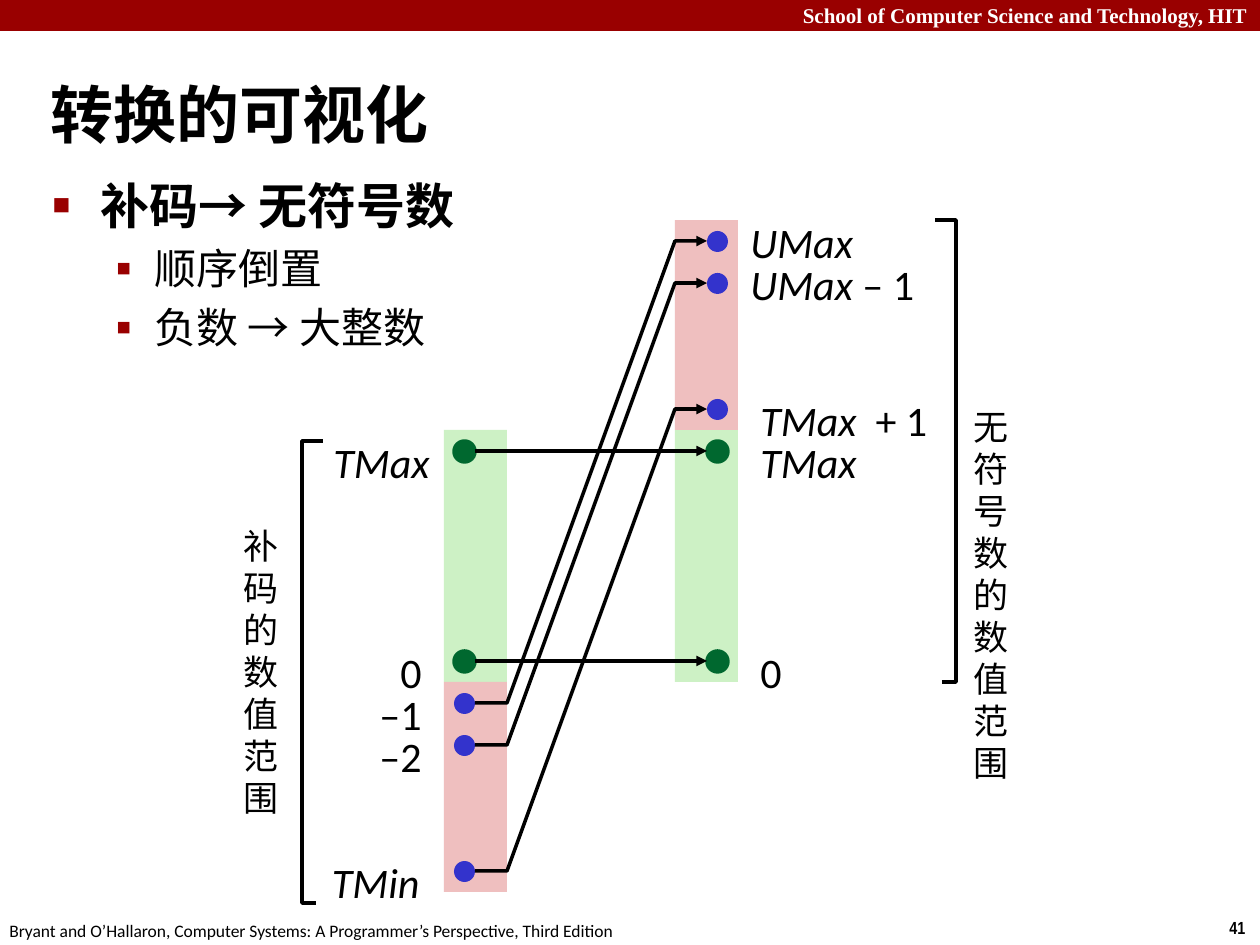
import pptx
import pptx.util
import pptx.dml.color
import pptx.enum.shapes
import pptx.enum.text
import pptx.oxml
import pptx.oxml.ns

RGBColor = pptx.dml.color.RGBColor
SHAPE = pptx.enum.shapes.MSO_SHAPE
ALIGN = pptx.enum.text.PP_ALIGN
CRIMSON = RGBColor(0x99, 0x00, 0x00)
BLACK = RGBColor(0x00, 0x00, 0x00)
WHITE = RGBColor(0xFF, 0xFF, 0xFF)
PALE_GREEN = RGBColor(0xCD, 0xF1, 0xC5)
PALE_RED = RGBColor(0xEF, 0xBF, 0xBF)
GREEN = RGBColor(0x00, 0x68, 0x2F)
BLUE = RGBColor(0x33, 0x33, 0xCC)
PX = 914400 / 126  # EMU per px

deck = pptx.Presentation()
deck.slide_width = round(1260 * PX)
deck.slide_height = round(945 * PX)
slide = deck.slides.add_slide(deck.slide_layouts[1])
shapes = slide.shapes


def add_filled(kind, box, color):
    shape = shapes.add_shape(kind, *[round(n * PX) for n in box])
    shape.shadow.inherit = False
    shape.fill.solid()
    shape.fill.fore_color.rgb = color
    shape.line.fill.background()
    return shape


def add_text(box, runs, size=24, align=ALIGN.LEFT, wrap=True,
             font="Calibri", color=BLACK, bold=False):
    """Add a one-paragraph text box; runs are (text, italic) pairs."""
    frame = shapes.add_textbox(*[round(n * PX) for n in box]).text_frame
    frame.word_wrap = wrap
    paragraph = frame.paragraphs[0]
    paragraph.alignment = align
    for text, italic in runs:
        run = paragraph.add_run()
        run.text = text
        run.font.name = font
        run.font.size = pptx.util.Pt(size)
        run.font.color.rgb = color
        run.font.bold = bold
        run.font.italic = italic


# Header and footer
add_filled(SHAPE.RECTANGLE, (0, 0, 1260, 31), CRIMSON)
add_text((0, -4, 1260, 38), [("School of Computer Science and Technology, HIT", False)],
         12, ALIGN.RIGHT, font="Times New Roman", color=WHITE, bold=True)
add_text((1217, 911, 43, 34), [("41", False)], 10, wrap=False,
         font="Arial Narrow", bold=True)
add_text((-3, 914, 640, 34),
         [("Bryant and O’Hallaron, Computer Systems: "
           "A Programmer’s Perspective, Third Edition", False)], 10, wrap=False)

# Title and list
title = shapes.title
body = slide.placeholders[1]
for holder, box in ((title, (38, 73, 1095, 80)), (body, (40, 169, 573, 237))):
    holder.left, holder.top, holder.width, holder.height = [round(n * PX) for n in box]
    holder.text_frame.auto_size = pptx.enum.text.MSO_AUTO_SIZE.NONE
title.text_frame.vertical_anchor = pptx.enum.text.MSO_ANCHOR.MIDDLE
title.text_frame.paragraphs[0].alignment = ALIGN.LEFT

entries = [
    # text, size, bold, level, (left margin, hanging indent, bullet, bullet size %)
    ("转换的可视化", 36, True, 0, None),
    ("补码→ 无符号数", 28, True, 0, (48, 48, "■", 60)),
    ("顺序倒置", 24, False, 1, (102, 39, "▪", 110)),
    ("负数 → 大整数", 24, False, 1, (102, 39, "▪", 110)),
]
for index, (text, size, bold, level, bullet) in enumerate(entries):
    if index == 0:
        paragraph = title.text_frame.paragraphs[0]
    elif index == 1:
        paragraph = body.text_frame.paragraphs[0]
    else:
        paragraph = body.text_frame.add_paragraph()
    paragraph.level = level
    run = paragraph.add_run()
    run.text = text
    run.font.name = "Calibri"
    run.font.size = pptx.util.Pt(size)
    run.font.bold = bold
    run.font.color.rgb = BLACK
    if bullet:
        margin, hanging, mark, percent = bullet
        properties = paragraph._p.get_or_add_pPr()
        properties.set("marL", str(round(margin * PX)))
        properties.set("indent", str(round(-hanging * PX)))
        namespace = pptx.oxml.ns.nsdecls("a")
        for xml in (f'<a:buClr {namespace}><a:srgbClr val="{CRIMSON}"/></a:buClr>',
                    f'<a:buSzPct {namespace} val="{percent * 1000}"/>',
                    f'<a:buFont {namespace} typeface="Arial"/>',
                    f'<a:buChar {namespace} char="{mark}"/>'):
            properties.append(pptx.oxml.parse_xml(xml))

# Number ranges: both columns share one row pitch
ROW = 42
U_MAX = 241
U_MAX_1, T_MAX_1, T_MAX, ZERO, MINUS_1, MINUS_2, T_MIN = [
    U_MAX + ROW * n for n in (1, 4, 5, 10, 11, 12, 15)]
BAR, DOT = 63, 21
SIGNED, UNSIGNED = 444, 675
SIGNED_DOT, UNSIGNED_DOT = 454, 707
for left, top, height, color in ((UNSIGNED, 430, 252, PALE_GREEN),
                                 (SIGNED, 430, 252, PALE_GREEN),
                                 (SIGNED, 682, 210, PALE_RED),
                                 (UNSIGNED, 220, 210, PALE_RED)):
    add_filled(SHAPE.RECTANGLE, (left, top, BAR, height), color)

# Mapping arrows and range brackets
mappings = [(ZERO, ZERO), (T_MAX, T_MAX),
            (MINUS_1, U_MAX), (MINUS_2, U_MAX_1), (T_MIN, T_MAX_1)]
start, end = SIGNED_DOT + DOT, UNSIGNED_DOT
strokes = []
outlines = [([(316, 903), (302, 903), (302, 441), (323, 441)], False),
            ([(942, 682), (956, 682), (956, 220), (935, 220)], False)]
for source, target in mappings:
    color = GREEN if source == target else BLUE
    for left, center in ((SIGNED_DOT, source), (UNSIGNED_DOT, target)):
        dot = add_filled(SHAPE.OVAL, (left, center - 10, DOT, DOT), color)
        if color == GREEN:
            dot.line.color.rgb = GREEN
            dot.line.width = pptx.util.Pt(2)
    if source == target:
        arrow = shapes.add_connector(
            pptx.enum.shapes.MSO_CONNECTOR.STRAIGHT,
            *[round(n * PX) for n in (start, source, end, target)])
        strokes.append((arrow, True))
    else:
        outlines.append(([(start, source), (SIGNED + BAR, source),
                          (UNSIGNED, target), (end, target)], True))
for points, has_arrow in outlines:
    builder = shapes.build_freeform(*points[0], scale=PX)
    builder.add_line_segments(points[1:], close=False)
    outline = builder.convert_to_shape()
    outline.fill.background()
    strokes.append((outline, has_arrow))
for stroke, has_arrow in strokes:
    stroke.line.color.rgb = BLACK
    stroke.line.width = pptx.util.Pt(2)
    namespace = pptx.oxml.ns.nsdecls("a")
    if has_arrow:
        stroke.line._get_or_add_ln().append(
            pptx.oxml.parse_xml(f'<a:tailEnd {namespace} type="triangle"/>'))
    stroke._element.spPr.append(pptx.oxml.parse_xml(f"<a:effectLst {namespace}/>"))

# Value labels
for left, top, width, runs, align, wrap in (
        (329, ZERO - 21, 105, [("0", False)], ALIGN.RIGHT, True),
        (329, MINUS_1 - 21, 105, [("–1", False)], ALIGN.RIGHT, True),
        (329, MINUS_2 - 21, 105, [("–2", False)], ALIGN.RIGHT, True),
        (320, T_MAX - 21, 122, [("TMax", True)], ALIGN.RIGHT, False),
        (319, T_MIN - 21, 113, [("TMin", True)], ALIGN.RIGHT, False),
        (748, ZERO - 21, 105, [("0", False)], ALIGN.LEFT, True),
        (738, U_MAX - 31, 158, [("UMax", True)], ALIGN.LEFT, True),
        (738, U_MAX_1 - 31, 199, [("UMax", True), (" – 1", False)], ALIGN.LEFT, True),
        (748, T_MAX - 21, 122, [("TMax", True)], ALIGN.LEFT, False),
        (748, T_MAX_1 - 21, 194, [("TMax  ", True), ("+ 1", False)], ALIGN.LEFT, False)):
    add_text((left, top, width, 64), runs, align=align, wrap=wrap)

# Range captions, one character per line
add_text((231, 518, 60, 310), [("补码的数值范围", False)], 20, ALIGN.RIGHT)
add_text((961, 399, 87, 394), [("无符号数的数值范围", False)], 20)

deck.save("out.pptx")
